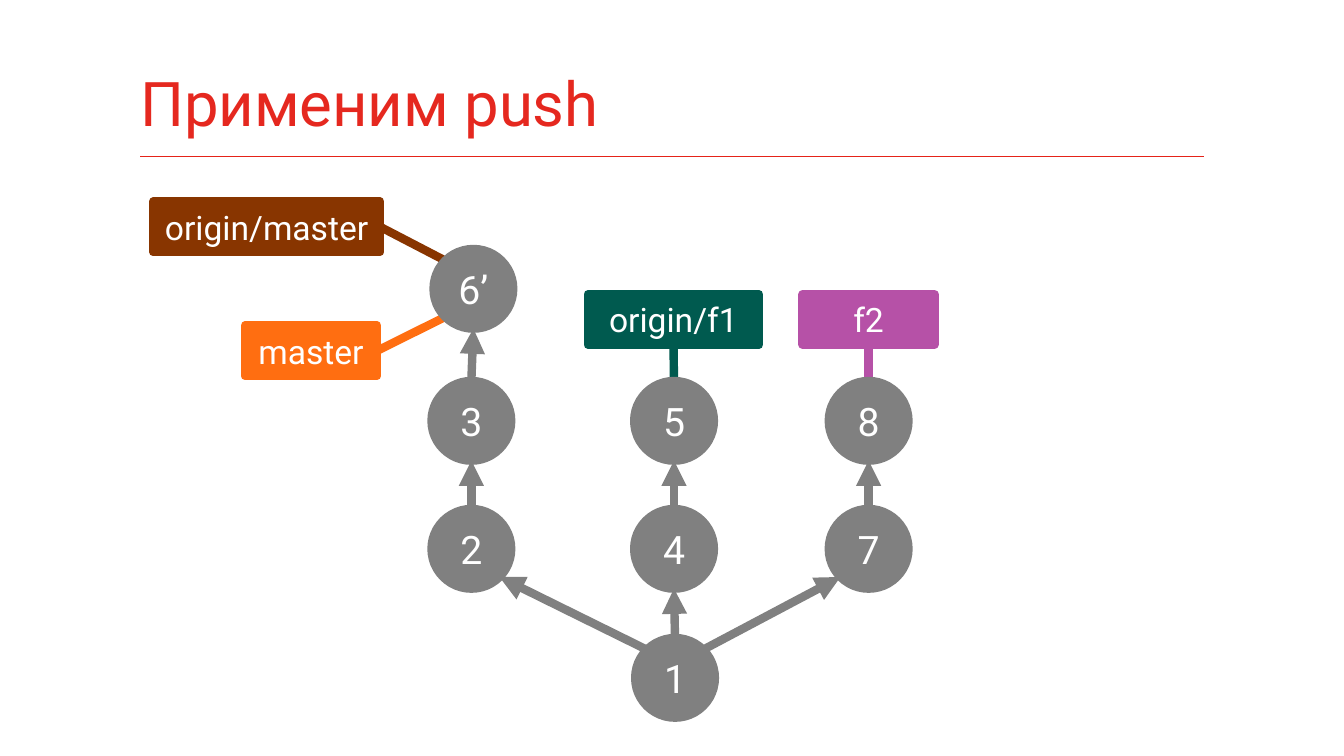
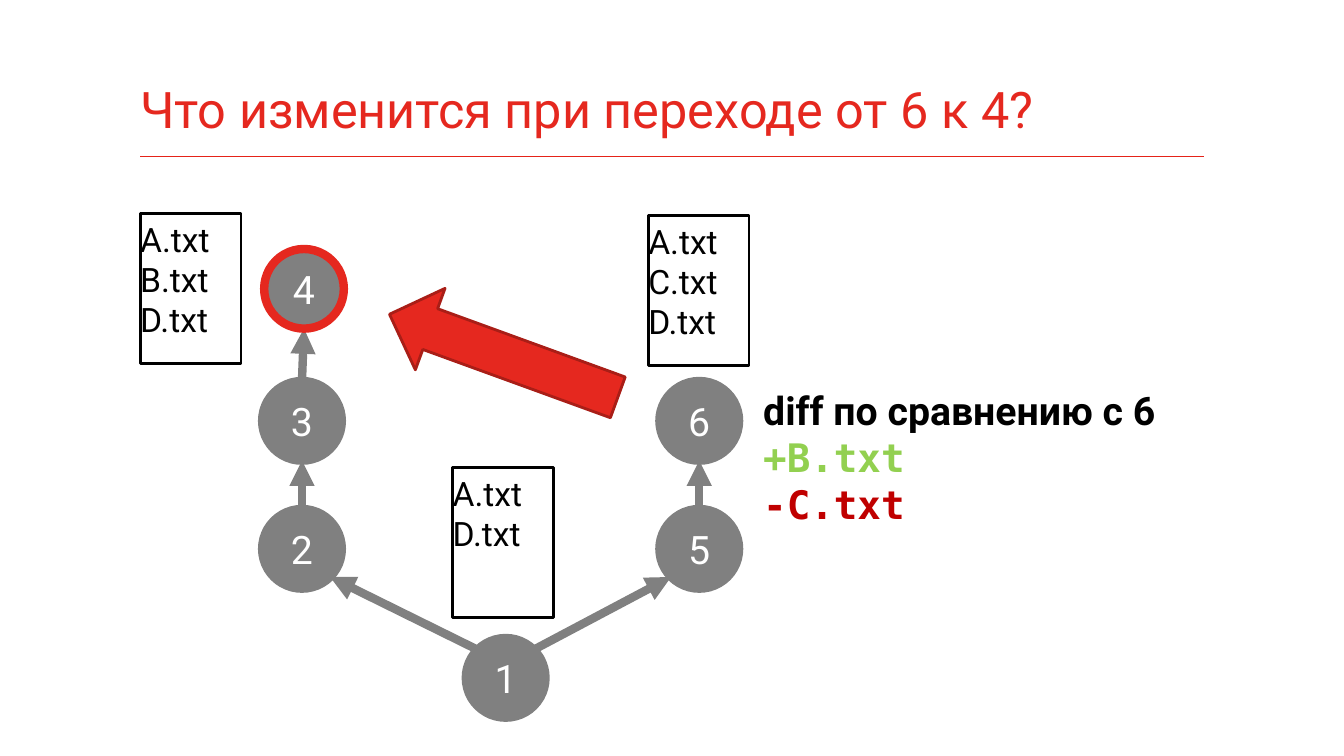
import pptx
import pptx.dml.color
import pptx.enum.shapes
import pptx.enum.text
import pptx.oxml
import pptx.oxml.ns
import pptx.util
from pptx.dml.color import RGBColor
from pptx.util import Inches

RED = RGBColor(0xE5, 0x28, 0x1F)
RULE_RED = RGBColor(0xE5, 0x23, 0x19)
ARROW_OUTLINE = RGBColor(0xA9, 0x1E, 0x17)
GRAY = RGBColor(0x80, 0x80, 0x80)
BROWN = RGBColor(0x88, 0x35, 0x00)
ORANGE = RGBColor(0xFF, 0x6E, 0x11)
TEAL = RGBColor(0x00, 0x5A, 0x4F)
PURPLE = RGBColor(0xB6, 0x51, 0xA7)
WHITE = RGBColor(0xFF, 0xFF, 0xFF)
BLACK = RGBColor(0x00, 0x00, 0x00)
ADDED_GREEN = RGBColor(0x92, 0xD0, 0x50)
REMOVED_RED = RGBColor(0xC0, 0x00, 0x00)

FONT = "Roboto"
CODE_FONT = "DejaVu Sans Mono"
SHAPES = pptx.enum.shapes.MSO_SHAPE
ALIGN = pptx.enum.text.PP_ALIGN
ANCHOR = pptx.enum.text.MSO_ANCHOR

THICK = 6
COMMIT_SIZE = 0.79
DIAGONAL = 0.5 ** 0.5
COLUMNS = (0, 2.01, 3.94)
ROWS = (0, 1.31, 2.58, 3.86)
ROOT = (2.02, ROWS[3])
HEAD = (0.02, ROWS[0])
RIGHT_SIDE, BOTTOM_SIDE = 3, 2
UPPER_LEFT = (-DIAGONAL, -DIAGONAL)
LOWER_LEFT = (-DIAGONAL, DIAGONAL)
TOP = (0, -1)


def write_lines(shape, lines, size, alignment, anchor, insets):
    """Write (text, colour, font, bold) lines, one paragraph each."""
    frame = shape.text_frame
    frame.auto_size = pptx.enum.text.MSO_AUTO_SIZE.NONE
    frame.word_wrap = False
    frame.vertical_anchor = anchor
    (frame.margin_left, frame.margin_top,
     frame.margin_right, frame.margin_bottom) = map(Inches, insets)
    for index, (text, color, font, bold) in enumerate(lines):
        paragraph = frame.add_paragraph() if index else frame.paragraphs[0]
        paragraph.alignment = alignment
        run = paragraph.add_run()
        run.text = text
        run.font.name = font
        run.font.size = pptx.util.Pt(size)
        run.font.bold = bold
        run.font.color.rgb = color


def add_box(slide, kind, box, fill, line, line_width):
    """Add a flat preset shape with a solid fill and outline."""
    shape = slide.shapes.add_shape(kind, *map(Inches, box))
    shape.shadow.inherit = False
    shape.fill.solid()
    shape.fill.fore_color.rgb = fill
    shape.line.color.rgb = line
    shape.line.width = pptx.util.Pt(line_width)
    return shape


def add_line(slide, start, end, color, width, arrow=False):
    """Add a straight connector, with an arrowhead at its end if asked."""
    connector = slide.shapes.add_connector(
        pptx.enum.shapes.MSO_CONNECTOR.STRAIGHT, *map(Inches, start + end))
    connector.line.color.rgb = color
    connector.line.width = pptx.util.Pt(width)
    properties = connector._element.spPr
    if arrow:
        head = pptx.oxml.parse_xml(
            f'<a:tailEnd {pptx.oxml.ns.nsdecls("a")} type="triangle"/>')
        connector.line._get_or_add_ln().append(head)
    properties.append(pptx.oxml.parse_xml(
        f'<a:effectLst {pptx.oxml.ns.nsdecls("a")}/>'))
    return connector


def add_titled_slide(presentation, text, size):
    """Add a slide with the red title and the rule below it."""
    slide = presentation.slides.add_slide(presentation.slide_layouts[5])
    title = slide.shapes.title
    title.left, title.top, title.width, title.height = map(
        Inches, (1.39, 0.36, 10.55, 1.18))
    write_lines(title, [(text, RED, FONT, False)], size, ALIGN.LEFT,
                ANCHOR.BOTTOM, (0, 0.05, 0, 0.16))
    title.text_frame.word_wrap = True
    add_line(slide, (1.39, 1.55), (11.94, 1.55), RULE_RED, 0.75)
    return slide


def rim_point(origin, offset, direction):
    """Return the point on a commit's rim in the given direction."""
    return tuple(start + shift + COMMIT_SIZE / 2 * (1 + part)
                 for start, shift, part in zip(origin, offset, direction))


def add_label(slide, origin, box, text, color, side, commit, direction):
    """Add a branch label and the line that ties it to its commit."""
    left, top, width, height = box
    label = add_box(slide, SHAPES.RECTANGLE,
                    (origin[0] + left, origin[1] + top, width, height),
                    color, color, THICK)
    write_lines(label, [(text, WHITE, FONT, False)], 24, ALIGN.CENTER,
                ANCHOR.MIDDLE, (0.1, 0.05, 0.1, 0.05))
    centre = (origin[0] + left + width / 2, origin[1] + top + height / 2)
    tie = add_line(slide, centre, rim_point(origin, commit, direction),
                   color, THICK)
    tie.begin_connect(label, side)


def add_graph(slide, origin, commits, edges, current=None):
    """Add the commit graph: arrows from parent to child, then circles."""
    for parent, child in edges:
        shift = commits[child][0] - commits[parent][0]
        if abs(shift) < 0.1:
            direction = TOP
        else:
            direction = (DIAGONAL if shift > 0 else -DIAGONAL, -DIAGONAL)
        opposite = tuple(-part for part in direction)
        add_line(slide, rim_point(origin, commits[parent], direction),
                 rim_point(origin, commits[child], opposite),
                 GRAY, THICK, arrow=True)
    for name, (left, top) in commits.items():
        box = (origin[0] + left, origin[1] + top, COMMIT_SIZE, COMMIT_SIZE)
        circle = add_box(slide, SHAPES.OVAL, box, GRAY,
                         RED if name == current else GRAY, THICK)
        write_lines(circle, [(name, WHITE, FONT, False)], 28, ALIGN.CENTER,
                    ANCHOR.MIDDLE, (0.1, 0.05, 0.1, 0.05))


def add_file_list(slide, left, top, names):
    """Add an outlined box that lists the files of a commit."""
    box = add_box(slide, SHAPES.RECTANGLE, (left, top, 1, 1.49),
                  WHITE, BLACK, 2)
    write_lines(box, [(name, BLACK, FONT, False) for name in names], 24,
                ALIGN.LEFT, ANCHOR.TOP, (0, 0.05, 0.1, 0.05))


def add_diff(slide, box):
    """Add the heading and the changed files of the diff."""
    text_box = slide.shapes.add_textbox(*map(Inches, box))
    write_lines(text_box, [
        ("diff по сравнению с 6", BLACK, FONT, True),
        ("+B.txt", ADDED_GREEN, CODE_FONT, True),
        ("-C.txt", REMOVED_RED, CODE_FONT, True),
    ], 28, ALIGN.LEFT, ANCHOR.TOP, (0, 0.05, 0.1, 0.05))


def build_push_slide(presentation):
    """Build the slide with the branches after a push."""
    slide = add_titled_slide(presentation, "Применим push", 44)
    origin = (4.28, 2.47)
    commits = {
        "1": ROOT,
        "2": (COLUMNS[0], ROWS[2]), "3": (COLUMNS[0], ROWS[1]), "6’": HEAD,
        "4": (COLUMNS[1], ROWS[2]), "5": (COLUMNS[1], ROWS[1]),
        "7": (COLUMNS[2], ROWS[2]), "8": (COLUMNS[2], ROWS[1]),
    }
    labels = [
        ((-2.76, -0.47, 2.25, 0.5), "origin/master", BROWN, RIGHT_SIDE, "6’", UPPER_LEFT),
        ((-1.85, 0.76, 1.31, 0.5), "master", ORANGE, RIGHT_SIDE, "6’", LOWER_LEFT),
        ((1.55, 0.45, 1.7, 0.5), "origin/f1", TEAL, BOTTOM_SIDE, "5", TOP),
        ((3.68, 0.45, 1.31, 0.5), "f2", PURPLE, BOTTOM_SIDE, "8", TOP),
    ]
    for box, text, color, side, commit, direction in labels:
        add_label(slide, origin, box, text, color, side,
                  commits[commit], direction)
    add_graph(slide, origin, commits, [
        ("1", "2"), ("2", "3"), ("3", "6’"), ("1", "4"), ("4", "5"),
        ("1", "7"), ("7", "8")])


def build_checkout_slide(presentation):
    """Build the slide with the move from commit 6 to commit 4."""
    slide = add_titled_slide(
        presentation, "Что изменится при переходе от 6 к 4?", 36)
    commits = {
        "1": ROOT,
        "2": (COLUMNS[0], ROWS[2]), "3": (COLUMNS[0], ROWS[1]), "4": HEAD,
        "5": (COLUMNS[2], ROWS[2]), "6": (COLUMNS[2], ROWS[1]),
    }
    add_graph(slide, (2.6, 2.47), commits, [
        ("1", "2"), ("2", "3"), ("3", "4"), ("1", "5"), ("5", "6")],
        current="4")
    add_file_list(slide, 1.39, 2.12, ("A.txt", "B.txt", "D.txt"))
    add_file_list(slide, 6.43, 2.14, ("A.txt", "C.txt", "D.txt"))
    add_file_list(slide, 4.49, 4.64, ("A.txt", "D.txt"))
    move_arrow = add_box(slide, SHAPES.RIGHT_ARROW, (3.79, 3.1, 2.41, 0.86),
                         RED, ARROW_OUTLINE, 2)
    move_arrow.rotation = 200
    add_diff(slide, (7.57, 3.78, 4.37, 1.87))


def main():
    """Build and save the presentation."""
    presentation = pptx.Presentation()
    presentation.slide_width = Inches(13.33)
    presentation.slide_height = Inches(7.5)
    build_push_slide(presentation)
    build_checkout_slide(presentation)
    presentation.save("out.pptx")


if __name__ == "__main__":
    main()
